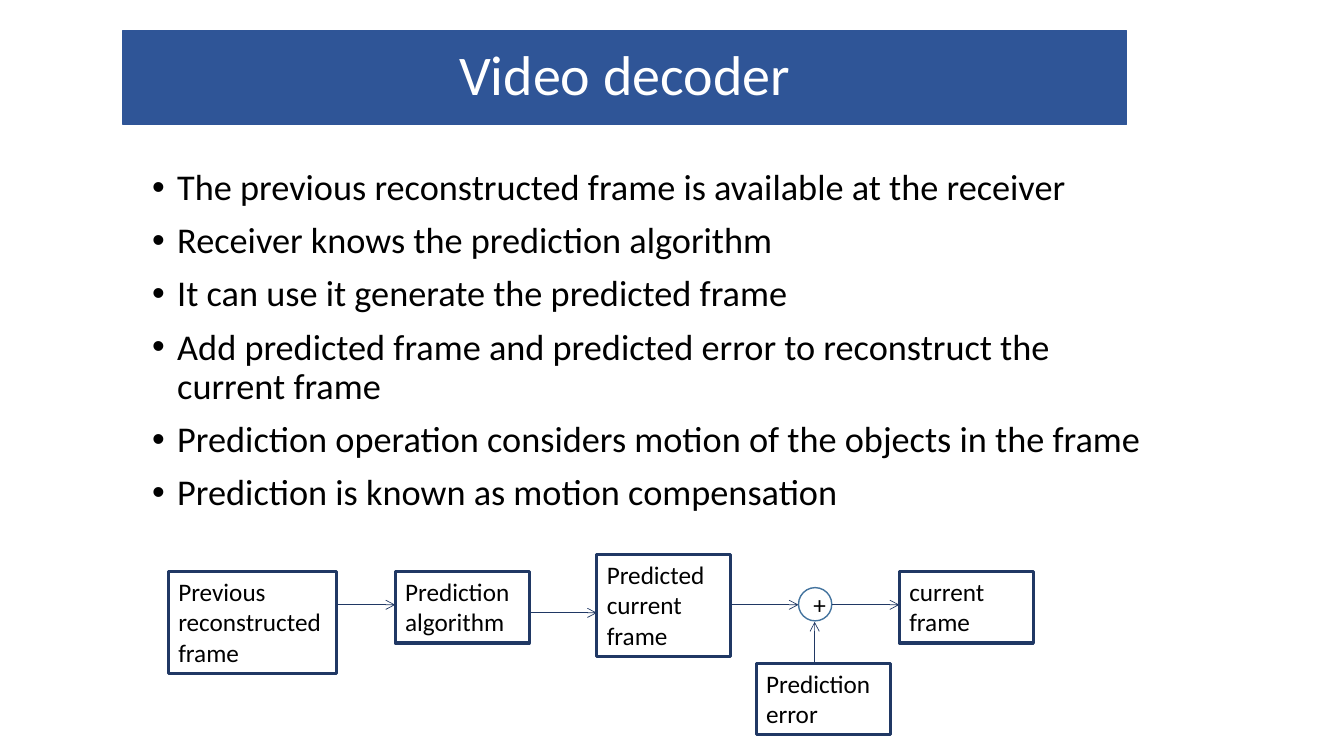
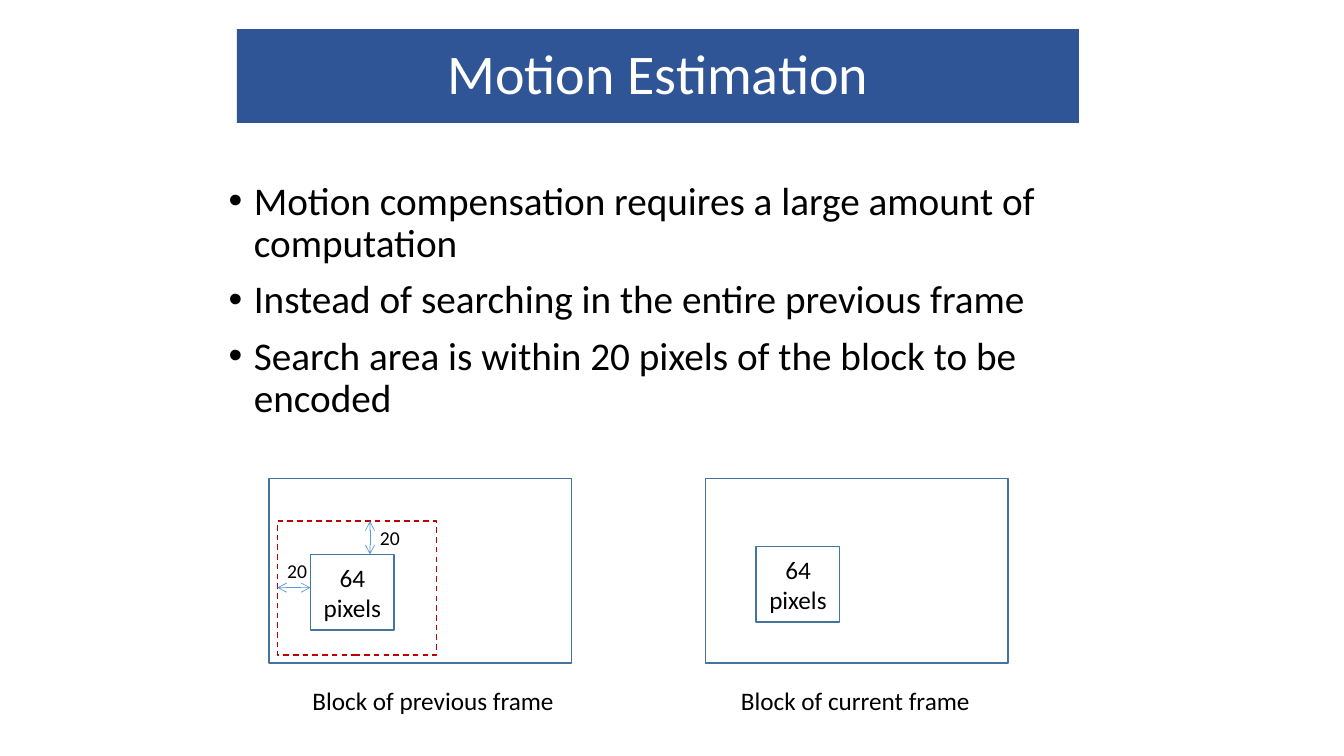
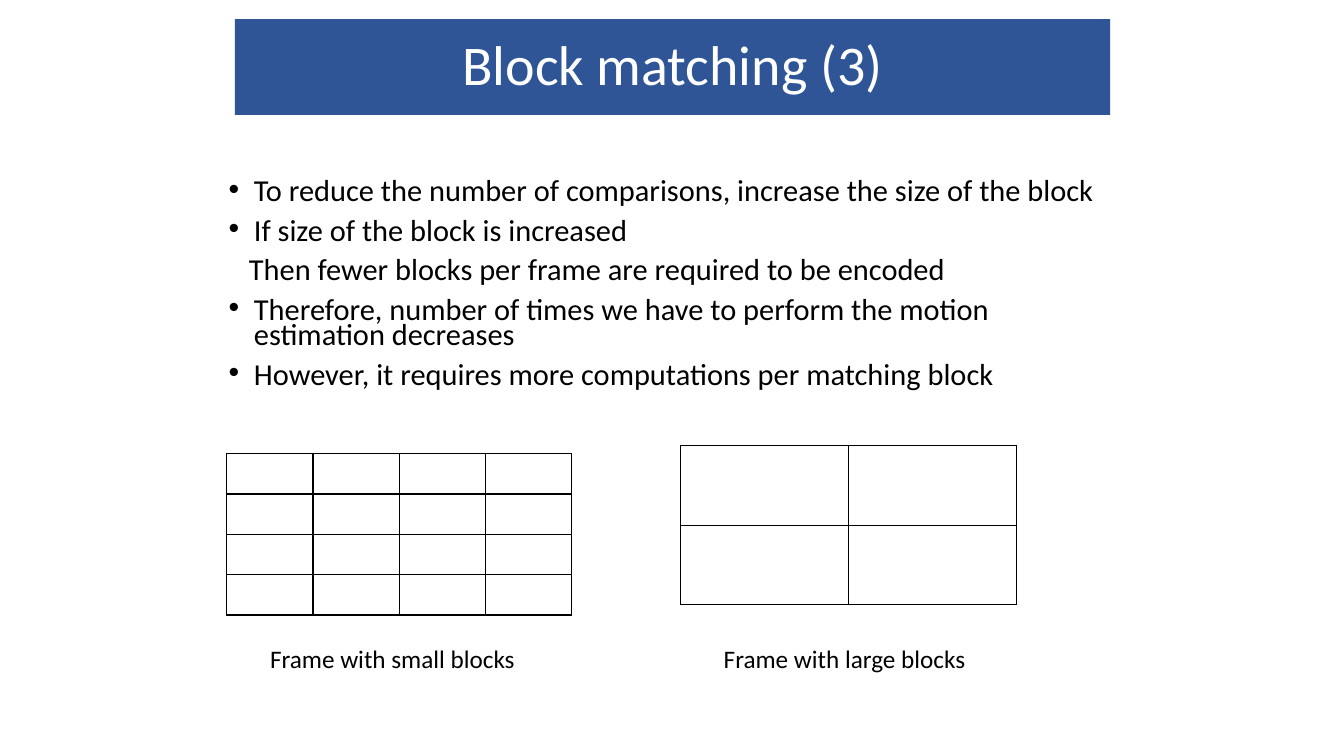
from dataclasses import dataclass

from lxml import etree
from pptx import Presentation
from pptx.dml.color import RGBColor
from pptx.enum.dml import MSO_LINE_DASH_STYLE as Dash
from pptx.enum.shapes import MSO_CONNECTOR as Connector, MSO_SHAPE as Shape
from pptx.enum.text import MSO_ANCHOR as Anchor, MSO_AUTO_SIZE as AutoSize, PP_ALIGN as Align
from pptx.oxml.ns import qn
from pptx.util import Inches, Pt


@dataclass(frozen=True)
class Theme:
    """Colours, font and type sizes shared by the slides."""
    font: str = "Calibri"
    ink: str = "000000"
    paper: str = "FFFFFF"
    band: str = "2F5597"
    navy: str = "203864"
    steel: str = "43739E"
    sky: str = "5B9BD5"
    red: str = "C00000"
    title: float = 40
    label: float = 18
    measure: float = 14


THEME = Theme()


def rgb(value):
    """Turn a hex string into a colour."""
    return RGBColor.from_string(value)


def inches(*values):
    """Convert several numbers to lengths."""
    return [Inches(value) for value in values]


def write(para, text, size=THEME.label, color=THEME.ink, align=None, leading=None, before=None):
    """Write formatted text into a paragraph."""
    if align is not None:
        para.alignment = align
    if leading is not None:
        para.line_spacing = leading
    if before is not None:
        para.space_before = Pt(before)
    span = para.add_run()
    span.text = text
    span.font.name = THEME.font
    span.font.size = Pt(size)
    span.font.color.rgb = rgb(color)


def paint(shape, fill=None, line=None, width=1, dash=None):
    """Set the fill and outline of a shape."""
    if fill:
        shape.fill.solid()
        shape.fill.fore_color.rgb = rgb(fill)
    else:
        shape.fill.background()
    if line:
        shape.line.color.rgb = rgb(line)
        shape.line.width = Pt(width)
    else:
        shape.line.fill.background()
    if dash is not None:
        shape.line.dash_style = dash


def add_title_slide(deck, text, place, line=None):
    """Add a slide with a title band."""
    page = deck.slides.add_slide(deck.slide_layouts[5])
    title = page.shapes.title
    title.left, title.top, title.width, title.height = inches(*place)
    paint(title, THEME.band, line, width=0.75)
    frame = title.text_frame
    frame.auto_size = AutoSize.NONE
    frame.vertical_anchor = Anchor.MIDDLE
    write(frame.paragraphs[0], text, size=THEME.title, color=THEME.paper,
          align=Align.CENTER, leading=0.9)
    return page


def add_bullets(page, place, items, size, leading=0.9):
    """Add a list of (text, bulleted) items."""
    frame = page.shapes.add_textbox(*inches(*place)).text_frame
    frame.word_wrap = True
    for index, (text, bulleted) in enumerate(items):
        para = frame.add_paragraph() if index else frame.paragraphs[0]
        properties = para._p.get_or_add_pPr()
        properties.set("marL", str(Inches(0.25 if bulleted else 0.2)))
        if bulleted:
            properties.set("indent", str(Inches(-0.25)))
            etree.SubElement(properties, qn("a:buFont")).set("typeface", "Arial")
            etree.SubElement(properties, qn("a:buChar")).set("char", "•")
        write(para, text, size=size, leading=leading, before=10 if index else 0)


def add_box(page, place, text=None, kind=Shape.RECTANGLE, align=Align.LEFT,
            anchor=Anchor.TOP, **outline):
    """Add an outlined shape with an optional label."""
    box = page.shapes.add_shape(kind, *inches(*place))
    box.shadow.inherit = False
    paint(box, **outline)
    if text:
        box.text_frame.word_wrap = True
        box.text_frame.vertical_anchor = anchor
        write(box.text_frame.paragraphs[0], text, align=align)


def add_label(page, place, text, size=THEME.label):
    """Add a one-line label."""
    frame = page.shapes.add_textbox(*inches(*place)).text_frame
    frame.word_wrap = False
    frame.auto_size = AutoSize.SHAPE_TO_FIT_TEXT
    write(frame.paragraphs[0], text, size=size)


def add_arrow(page, ends, color, tips=("tailEnd",)):
    """Add a thin straight arrow."""
    arrow = page.shapes.add_connector(Connector.STRAIGHT, *inches(*ends))
    arrow.line.color.rgb = rgb(color)
    arrow.line.width = Pt(0.5)
    outline = arrow.line._get_or_add_ln()
    for tip in tips:
        etree.SubElement(outline, qn(f"a:{tip}")).set("type", "arrow")
    etree.SubElement(arrow._element.spPr, qn("a:effectLst"))


def add_border(cell):
    """Draw black lines on all sides of a cell."""
    properties = cell._tc.get_or_add_tcPr()
    for index, side in enumerate(("lnL", "lnR", "lnT", "lnB")):
        line = etree.Element(qn(f"a:{side}"), w=str(Pt(1)))
        fill = etree.SubElement(line, qn("a:solidFill"))
        etree.SubElement(fill, qn("a:srgbClr")).set("val", THEME.ink)
        properties.insert(index, line)


def add_grid(page, place, count):
    """Add an empty square grid of bordered cells."""
    table = page.shapes.add_table(count, count, *inches(*place)).table
    table.first_row = table.horz_banding = False
    for cell in table.iter_cells():
        cell.fill.background()
        add_border(cell)


def build_decoder(deck):
    """Build the video decoder slide."""
    page = add_title_slide(deck, "Video decoder", (1.22, 0.3, 9.95, 0.94), line=THEME.band)
    points = (
        "The previous reconstructed frame is available at the receiver",
        "Receiver knows the prediction algorithm",
        "It can use it generate the predicted frame",
        "Add predicted frame and predicted error to reconstruct the current frame",
        "Prediction operation considers motion of the objects in the frame",
        "Prediction is known as motion compensation",
    )
    add_bullets(page, (1.41, 1.63, 10.13, 3.67), [(point, True) for point in points], size=25.9)
    stages = (
        ("Previous reconstructed frame", 1.67, 5.67, 1.67, 1.01),
        ("Prediction algorithm", 3.92, 5.67, 1.33, 0.71),
        ("Predicted current frame", 5.92, 5.5, 1.33, 1.01),
        ("current frame", 8.92, 5.67, 1.33, 0.71),
        ("Prediction error", 7.5, 6.58, 1.33, 0.71),
    )
    for text, *place in stages:
        add_box(page, place, text, line=THEME.navy, width=2.25)
    add_box(page, (7.92, 5.83, 0.33, 0.33), "+", kind=Shape.OVAL, align=Align.CENTER,
            anchor=Anchor.MIDDLE, line=THEME.steel)
    for start, end, level in ((3.33, 3.92, 6), (5.25, 5.92, 6.08), (7.25, 7.92, 6), (8.25, 8.92, 6)):
        add_arrow(page, (start, level, end, level), THEME.navy)
    add_arrow(page, (8.08, 6.58, 8.08, 6.17), THEME.navy)


def build_estimation(deck):
    """Build the motion estimation slide."""
    page = add_title_slide(deck, "Motion Estimation", (2.35, 0.29, 8.35, 0.93))
    points = (
        "Motion compensation requires a large amount of computation",
        "Instead of searching in the entire previous frame",
        "Search area is within 20 pixels of the block to be encoded",
    )
    add_bullets(page, (2.17, 1.75, 9, 2.75), [(point, True) for point in points], size=28)
    frames = (
        (2.67, (3.08, 5.5), (3, 2.62), "Block of previous frame"),
        (7, (7.5, 5.42), (7.25, 2.5), "Block of current frame"),
    )
    for left, block, (label_left, label_width), caption in frames:
        add_box(page, (left, 4.75, 3, 1.83), line=THEME.steel)
        add_box(page, (*block, 0.83, 0.75), "64 pixels", align=Align.CENTER,
                anchor=Anchor.MIDDLE, fill=THEME.paper, line=THEME.steel)
        add_label(page, (label_left, 6.75, label_width, 0.4), caption)
    add_box(page, (2.75, 5.17, 1.58, 1.33), line=THEME.red, dash=Dash.DASH)
    margins = (
        ((3.67, 5.17, 3.67, 5.5), (3.67, 5.17)),
        ((2.75, 5.83, 3.08, 5.83), (2.75, 5.5)),
    )
    for ends, corner in margins:
        add_arrow(page, ends, THEME.sky, tips=("headEnd", "tailEnd"))
        add_label(page, (*corner, 0.4, 0.34), "20", size=THEME.measure)


def build_matching(deck):
    """Build the block matching slide."""
    page = add_title_slide(deck, "Block matching (3)", (2.33, 0.19, 8.68, 0.95))
    items = (
        ("To reduce the number of comparisons, increase the size of the block", True),
        ("If size of the block is increased", True),
        ("Then fewer blocks per frame are required to be encoded", False),
        ("Therefore, number of times we have to perform the motion estimation decreases", True),
        ("However, it requires more computations per matching block", True),
    )
    add_bullets(page, (2.17, 1.75, 9, 2.42), items, size=21.7, leading=0.7)
    add_grid(page, (2.25, 4.5, 3.42, 1.6), 4)
    add_grid(page, (6.75, 4.42, 3.33, 1.58), 2)
    add_label(page, (2.58, 6.33, 2.66, 0.4), "Frame with small blocks")
    add_label(page, (7.08, 6.33, 2.63, 0.4), "Frame with large blocks")


def main():
    """Build and save the deck."""
    deck = Presentation()
    deck.slide_width, deck.slide_height = inches(13.33, 7.5)
    build_decoder(deck)
    build_estimation(deck)
    build_matching(deck)
    deck.save("out.pptx")


if __name__ == "__main__":
    main()
